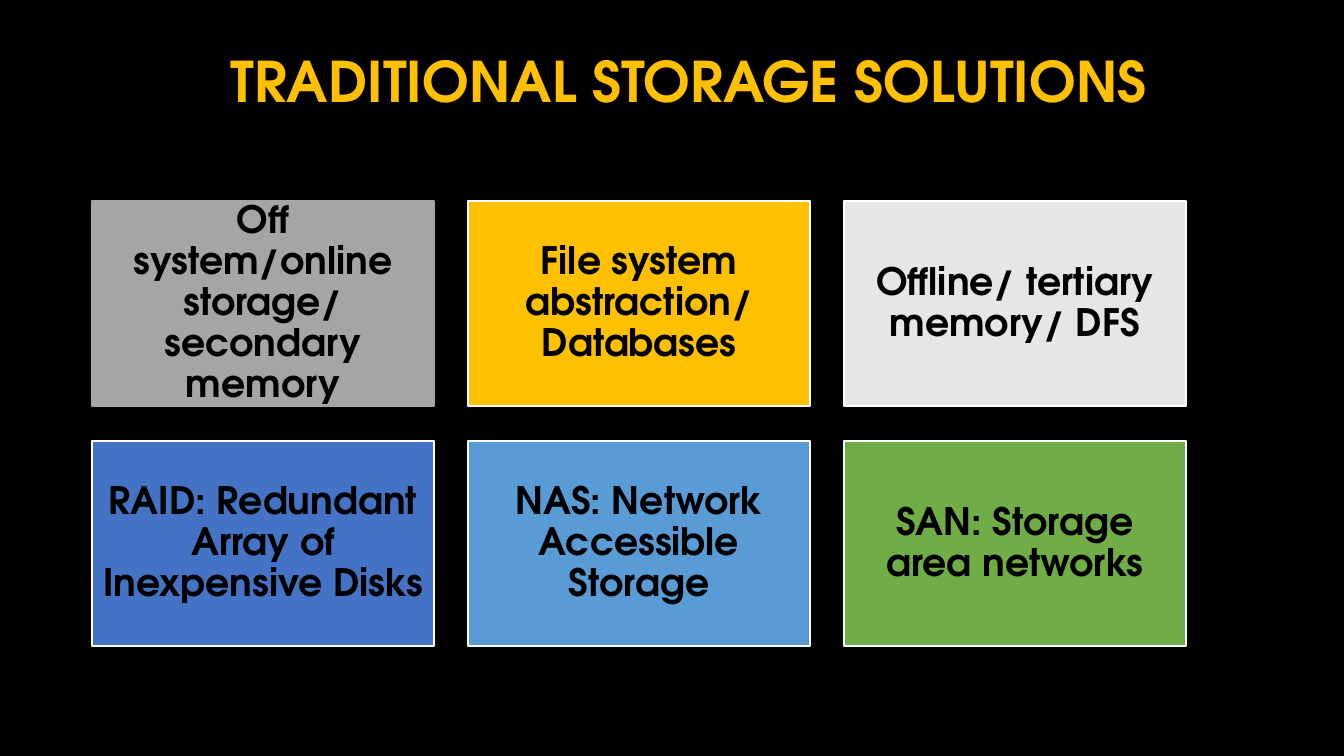
from pptx import Presentation
from pptx.dml.color import RGBColor
from pptx.enum.shapes import MSO_SHAPE
from pptx.enum.text import MSO_ANCHOR, PP_ALIGN
from pptx.util import Pt

EMU_PER_PX = 914400 / 100.8
COLORS = {
    "black": "000000", "white": "FFFFFF", "gold": "FFC000", "gray": "A5A5A5",
    "light": "E7E6E6", "blue": "4472C4", "sky": "599BD5", "green": "70AD47",
}
FONT = {"name": "TeX Gyre Adventor", "bold": True}
COLUMNS = 3
LEFT, TOP, WIDTH, HEIGHT = 92, 201, 342, 205
STEP_X, STEP_Y = 376, 240
SOLUTIONS = [
    ("Off system/online storage/ secondary memory", "gray", "gray"),
    ("File system abstraction/ Databases", "gold", "white"),
    ("Offline/ tertiary memory/ DFS", "light", "white"),
    ("RAID: Redundant Array of Inexpensive Disks ", "blue", "white"),
    ("NAS: Network Accessible Storage", "sky", "white"),
    ("SAN: Storage area networks", "green", "white"),
]


def px(n):
    return round(n * EMU_PER_PX)


def rgb(name):
    return RGBColor.from_string(COLORS[name])


def set_attrs(obj, values):
    for name, value in values.items():
        setattr(obj, name, value)


def write_text(sp, text, size, color, align, inset_x, inset_y):
    tf = sp.text_frame
    set_attrs(tf, {
        "word_wrap": True, "vertical_anchor": MSO_ANCHOR.MIDDLE,
        "margin_left": px(inset_x), "margin_right": px(inset_x),
        "margin_top": px(inset_y), "margin_bottom": px(inset_y),
    })
    p = tf.paragraphs[0]
    set_attrs(p, {"alignment": align, "line_spacing": 0.9})
    r = p.add_run()
    r.text = text
    set_attrs(r.font, {**FONT, "size": Pt(size)})
    r.font.color.rgb = rgb(color)


def add_title(s, text):
    sp = s.shapes.add_textbox(px(208), px(13), px(949), px(142))
    write_text(sp, text, 40, "gold", PP_ALIGN.RIGHT, 10, 5)


def add_tile(s, x, y, text, fill, line):
    sp = s.shapes.add_shape(MSO_SHAPE.RECTANGLE, px(x), px(y), px(WIDTH), px(HEIGHT))
    sp.shadow.inherit = False
    sp.fill.solid()
    sp.fill.fore_color.rgb = rgb(fill)
    sp.line.color.rgb = rgb(line)
    sp.line.width = Pt(1)
    write_text(sp, text, 27, "black", PP_ALIGN.CENTER, 11, 11)


def main():
    prs = Presentation()
    set_attrs(prs, {"slide_width": px(1344), "slide_height": px(756)})
    s = prs.slides.add_slide(prs.slide_layouts[6])
    s.background.fill.solid()
    s.background.fill.fore_color.rgb = rgb("black")
    add_title(s, "TRADITIONAL STORAGE SOLUTIONS")
    for i, (text, fill, line) in enumerate(SOLUTIONS):
        row, col = divmod(i, COLUMNS)
        add_tile(s, LEFT + col * STEP_X, TOP + row * STEP_Y, text, fill, line)
    prs.save("out.pptx")


if __name__ == "__main__":
    main()
